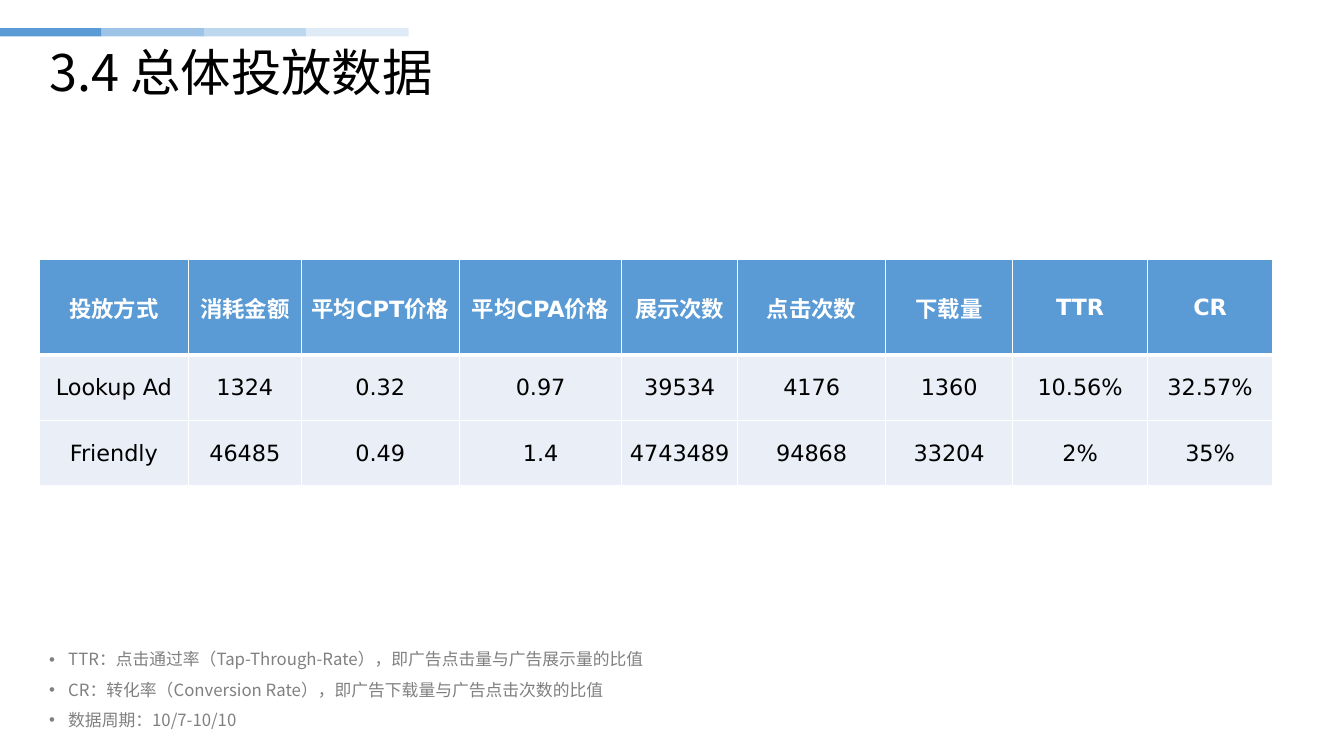
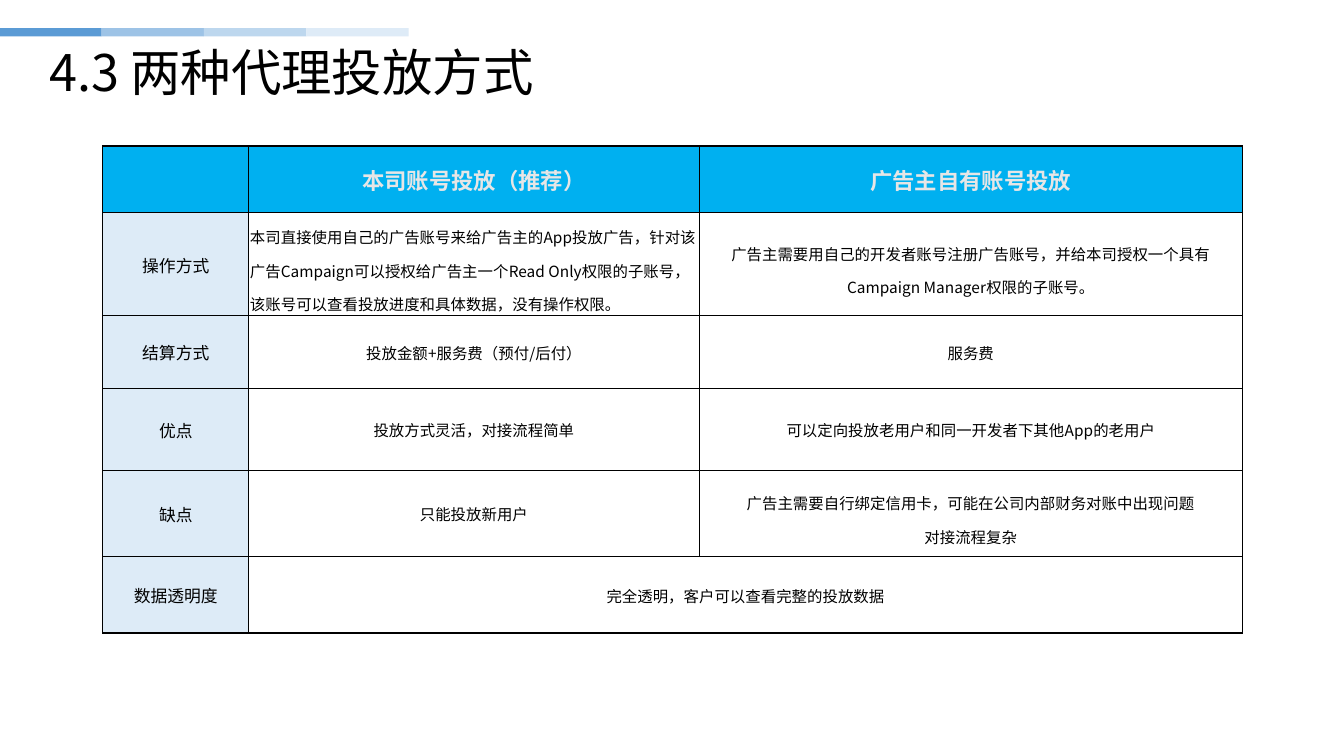
"""Build two slides on ad results and on two ways of placing ads."""
from lxml.etree import SubElement as Sub
from pptx import Presentation
from pptx.dml.color import RGBColor as RGB
from pptx.enum.shapes import MSO_SHAPE as Form
from pptx.enum.text import MSO_ANCHOR as Anchor, MSO_AUTO_SIZE as Auto, PP_ALIGN as Align
from pptx.oxml.ns import qn
from pptx.util import Cm, Pt

RESULTS = {
    "title": "3.4 总体投放数据",
    "rows": [
        ("投放方式", "消耗金额", "平均CPT价格", "平均CPA价格", "展示次数",
         "点击次数", "下载量", "TTR", "CR"),
        ("Lookup Ad", "1324", "0.32", "0.97", "39534", "4176", "1360", "10.56%", "32.57%"),
        ("Friendly", "46485", "0.49", "1.4", "4743489", "94868", "33204", "2%", "35%"),
    ],
    "spot": (0.99, 6.53),
    "widths": (3.76, 2.84, 3.99, 4.09, 2.92, 3.73, 3.2, 3.4, 3.15),
    "heights": (2.41, 1.65, 1.65),
    "notes": [
        "TTR：点击通过率（Tap-Through-Rate），即广告点击量与广告展示量的比值",
        "CR：转化率（Conversion Rate），即广告下载量与广告点击次数的比值",
        "数据周期：10/7-10/10",
    ],
}
METHODS = {
    "title": "4.3 两种代理投放方式",
    "rows": [
        ("", "本司账号投放（推荐）", "广告主自有账号投放"),
        ("操作方式",
         "本司直接使用自己的广告账号来给广告主的App投放广告，针对该广告Campaign可以授权给"
         "广告主一个Read Only权限的子账号，该账号可以查看投放进度和具体数据，没有操作权限。",
         "广告主需要用自己的开发者账号注册广告账号，并给本司授权一个具有"
         "Campaign Manager权限的子账号。"),
        ("结算方式", "投放金额+服务费（预付/后付）", "服务费"),
        ("优点", "投放方式灵活，对接流程简单", "可以定向投放老用户和同一开发者下其他App的老用户"),
        ("缺点", "只能投放新用户",
         "广告主需要自行绑定信用卡，可能在公司内部财务对账中出现问题\n对接流程复杂"),
        ("数据透明度", "完全透明，客户可以查看完整的投放数据", ""),
    ],
    "spot": (2.59, 3.68),
    "widths": (3.68, 11.35, 13.69),
    "heights": (1.68, 2.59, 1.83, 2.08, 2.16, 1.93),
}


class Theme:
    """Colours, fonts and type styles of the deck."""
    bands = ("5B9BD5", "9DC3E6", "BDD7EE", "DEEBF7")
    white, black = "FFFFFF", "000000"
    head, body = "5B9BD5", "EAEFF7"
    sky, side = "00B0F0", "DDEBF7"
    sans, han = "DejaVu Sans", "Noto Sans CJK SC"
    title = dict(size=36, color=black)
    note = dict(size=12, color="808080")
    top = dict(size=16, color=white, bold=True, face=sans)
    data = dict(size=16, color=black, face=sans)
    lead = dict(size=16, color="E7E6E6", bold=True)
    label = dict(size=12, color=black)
    plain = dict(size=11, color=black)


def paint(item, color):
    item.fill.solid()
    item.fill.fore_color.rgb = RGB.from_string(color)


def write(par, text, size, color, bold=False, face=Theme.han, **form):
    par.text = text
    for key, value in form.items():
        setattr(par, key, value)
    for run in par.runs:
        for key, value in dict(size=Pt(size), bold=bold, name=face).items():
            setattr(run.font, key, value)
        run.font.color.rgb = RGB.from_string(color)
        Sub(run.font._element, qn("a:ea")).set("typeface", Theme.han)


def add_box(slide, area, **form):
    frame = slide.shapes.add_textbox(*map(Cm, area)).text_frame
    for key, value in dict(word_wrap=True, **form).items():
        setattr(frame, key, value)
    return frame


def start(deck, title):
    slide = deck.slides.add_slide(deck.slide_layouts[6])
    wide = 2.58
    for i, color in enumerate(Theme.bands):
        band = slide.shapes.add_shape(
            Form.RECTANGLE, *map(Cm, (i * wide - 0.02, 0.71, wide, 0.21)))
        band.shadow.inherit = False
        band.line.fill.background()
        paint(band, color)
    frame = add_box(slide, (0.99, 1.02, 29.21, 1.75), vertical_anchor=Anchor.MIDDLE)
    write(frame.paragraphs[0], title, line_spacing=0.9, **Theme.title)
    return slide


def edge(cell, color, sides):
    props = cell._tc.get_or_add_tcPr()
    for i, (side, width) in enumerate(zip("LRTB", sides)):
        line = Sub(props, qn(f"a:ln{side}"), w=str(Pt(width)))
        Sub(Sub(line, qn("a:solidFill")), qn("a:srgbClr"), val=color)
        props.insert(i, line)


def add_grid(slide, page, style):
    rows, widths, heights = page["rows"], page["widths"], page["heights"]
    area = (*page["spot"], sum(widths), sum(heights))
    grid = slide.shapes.add_table(len(rows), len(widths), *map(Cm, area)).table
    grid.first_row = grid.horz_banding = False
    for col, width in zip(grid.columns, widths):
        col.width = Cm(width)
    for row, height in zip(grid.rows, heights):
        row.height = Cm(height)
    form = dict(vertical_anchor=Anchor.MIDDLE, margin_left=Cm(0.03),
                margin_right=Cm(0.03), margin_top=Cm(0.03), margin_bottom=0)
    for r, row in enumerate(rows):
        for c, text in enumerate(row):
            cell = grid.cell(r, c)
            for key, value in form.items():
                setattr(cell, key, value)
            fill, font, color, sides = style(r, c)
            paint(cell, fill)
            edge(cell, color, sides)
            write(cell.text_frame.paragraphs[0], text, **{"alignment": Align.CENTER, **font})
    return grid


def result_style(r, c):
    fill, font = (Theme.body, Theme.data) if r else (Theme.head, Theme.top)
    return fill, font, Theme.white, (1, 1, 3 if r == 1 else 1, 1 if r else 3)


def method_style(r, c):
    last, end = len(METHODS["rows"]) - 1, len(METHODS["widths"]) - 1
    sides = [1 if outer else 0.5 for outer in (c == 0, c == end, r == 0, r == last)]
    if r == 0:
        fill, font = Theme.sky, Theme.lead
    elif c == 0:
        fill, font = Theme.side, Theme.label
    else:
        fill, font = Theme.white, dict(Theme.plain)
        if r == 1 or (r, c) == (4, 2):
            font["line_spacing"] = 1.5
        if (r, c) == (1, 1):
            font["alignment"] = Align.LEFT
    return fill, font, Theme.black, sides


def add_notes(slide, notes):
    frame = add_box(slide, (0.99, 15.98, 30.73, 2.57), auto_size=Auto.SHAPE_TO_FIT_TEXT)
    for i, text in enumerate(notes):
        par = frame.add_paragraph() if i else frame.paragraphs[0]
        props = par._p.get_or_add_pPr()
        props.set("marL", str(Cm(0.48)))
        props.set("indent", str(Cm(-0.48)))
        Sub(props, qn("a:buFont"), typeface="Arial")
        Sub(props, qn("a:buChar"), char="•")
        write(par, text, line_spacing=1.5, **Theme.note)


def main():
    deck = Presentation()
    deck.slide_width, deck.slide_height = Cm(33.87), Cm(19.05)
    slide = start(deck, RESULTS["title"])
    add_notes(slide, RESULTS["notes"])
    add_grid(slide, RESULTS, result_style)
    slide = start(deck, METHODS["title"])
    grid = add_grid(slide, METHODS, method_style)
    grid.cell(5, 1).merge(grid.cell(5, 2))
    deck.save("out.pptx")


if __name__ == "__main__":
    main()
